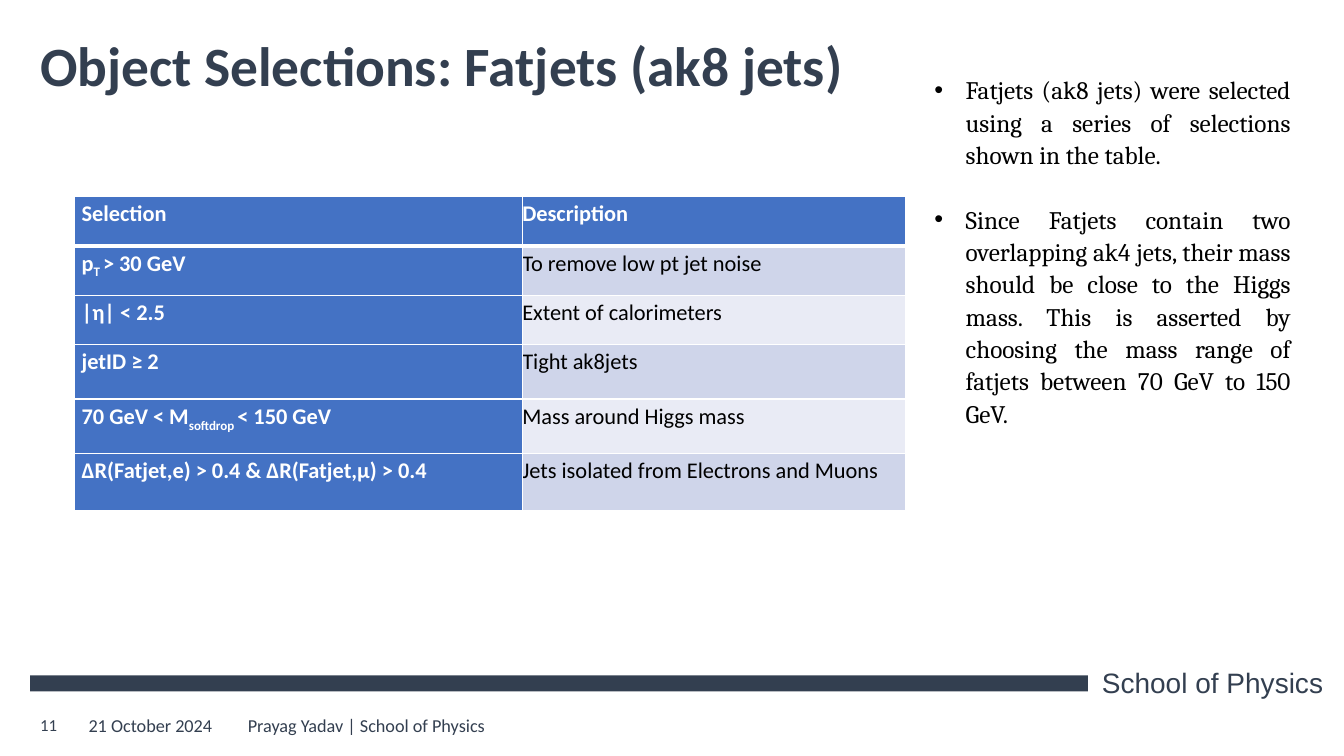
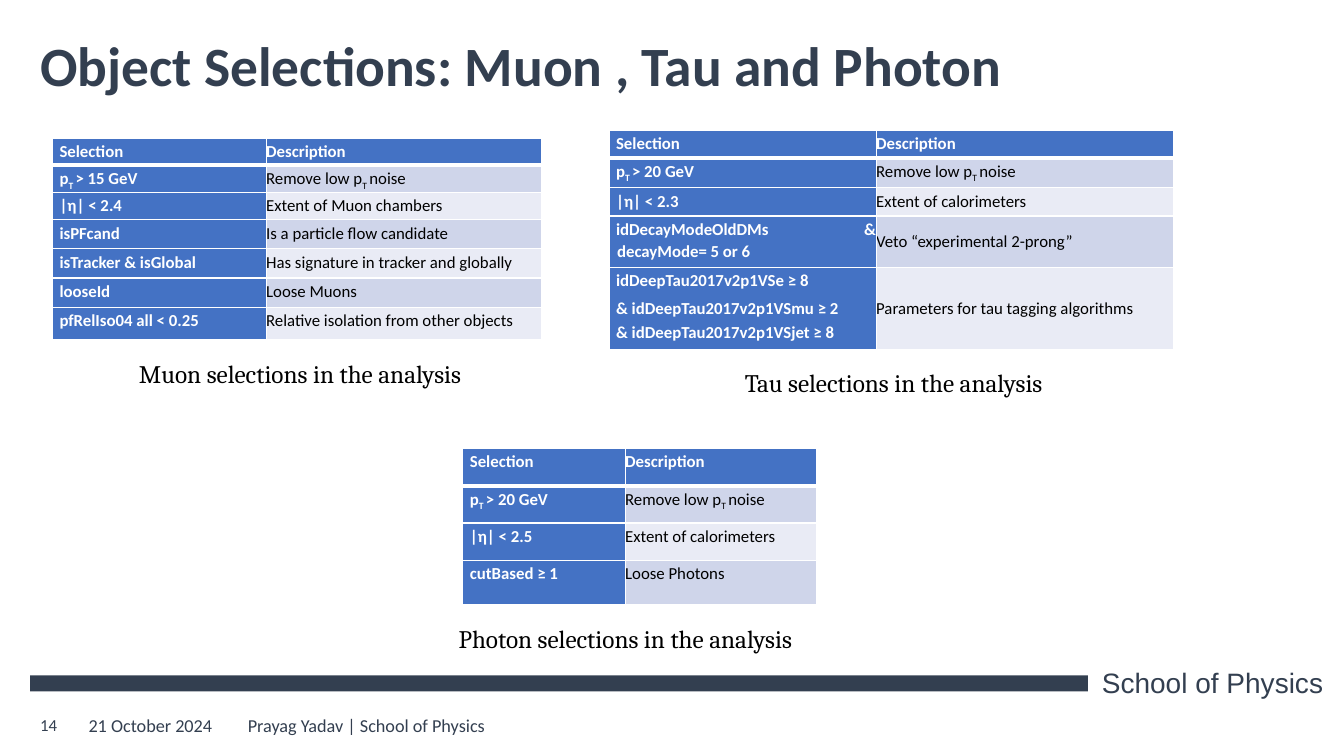
from dataclasses import dataclass

from lxml.etree import SubElement
from pptx import Presentation
from pptx.dml.color import RGBColor
from pptx.enum.shapes import MSO_SHAPE
from pptx.enum.text import MSO_ANCHOR, PP_ALIGN
from pptx.oxml.ns import qn
from pptx.util import Pt

PX = 9144  # EMU per px, 100 px to the inch


@dataclass(frozen=True)
class Theme:
    # Colours
    navy: str = "333F50"
    blue: str = "4472C4"
    bands: tuple = ("CFD5EA", "E9EBF5")
    white: str = "FFFFFF"
    black: str = "000000"
    # Fonts and type sizes
    sans: str = "Calibri"
    serif: str = "Cambria"
    mark: str = "Arial"
    title_size: float = 39.6
    mark_size: int = 20
    body_size: int = 18
    footer_size: int = 13
    number_size: int = 12


def px(length):
    return int(length * PX)


def apply(target, formats):
    for name, value in formats.items():
        setattr(target, name, value)


class Deck:
    def __init__(self, theme, width, height):
        self.theme = theme
        self.presentation = Presentation()
        apply(self.presentation, {"slide_width": px(width), "slide_height": px(height)})
        self.slide = None

    def start(self, number, title):
        """Add a slide with the shared band, footer and title."""
        t = self.theme
        self.slide = self.presentation.slides.add_slide(self.presentation.slide_layouts[6])
        self.band(30, 670, 1049, 16)
        self.text((1083, 655, 243, 44), "School of Physics", t.mark_size, t.mark, t.navy)
        footer = ((30, 44, number, t.number_size),
                  (78, 158, "21 October 2024", t.footer_size),
                  (236, 450, "Prayag Yadav | School of Physics", t.footer_size))
        for left, width, words, size in footer:
            self.text((left, 699, width, 40), words, size, t.sans, t.navy,
                      anchor=MSO_ANCHOR.MIDDLE)
        self.text((30, 30, 1209, 75), title, t.title_size, t.sans, t.navy, bold=True,
                  anchor=MSO_ANCHOR.MIDDLE, line_spacing=0.9)

    def band(self, *box):
        bar = self.slide.shapes.add_shape(MSO_SHAPE.RECTANGLE, *map(px, box))
        bar.shadow.inherit = False
        bar.fill.solid()
        bar.fill.fore_color.rgb = RGBColor.from_string(self.theme.navy)
        bar.line.fill.background()

    def fill_paragraph(self, paragraph, words, size, font, color, bold=False, **formats):
        """Add the words as runs; parts between ~ signs are subscripts."""
        apply(paragraph, formats)
        for index, part in enumerate(words.split("~")):
            run = paragraph.add_run()
            run.text = part
            apply(run.font, {"size": Pt(size), "name": font, "bold": bold})
            run.font.color.rgb = RGBColor.from_string(color)
            if index % 2:
                run._r.get_or_add_rPr().set("baseline", "-25000")

    def indent(self, paragraph, left, first):
        properties = paragraph._p.get_or_add_pPr()
        properties.set("marL", str(px(left)))
        properties.set("indent", str(px(first)))
        return properties

    def frame(self, box, anchor=MSO_ANCHOR.TOP):
        frame = self.slide.shapes.add_textbox(*map(px, box)).text_frame
        apply(frame, {"word_wrap": True, "vertical_anchor": anchor})
        return frame

    def text(self, box, words, size, font, color, anchor=MSO_ANCHOR.TOP, **formats):
        paragraph = self.frame(box, anchor).paragraphs[0]
        self.fill_paragraph(paragraph, words, size, font, color, **formats)

    def caption(self, left, top, width, words):
        t = self.theme
        self.text((left, top, width, 40), words, t.body_size, t.serif, t.black)

    def bullets(self, box, items, gap):
        t = self.theme
        frame = self.frame(box)
        for index, words in enumerate(items):
            paragraph = frame.add_paragraph() if index else frame.paragraphs[0]
            properties = self.indent(paragraph, 31, -31)
            SubElement(properties, qn("a:buFont")).set("typeface", t.mark)
            SubElement(properties, qn("a:buChar")).set("char", "•")
            self.fill_paragraph(paragraph, words, t.body_size, t.serif, t.black,
                                alignment=PP_ALIGN.JUSTIFY, line_spacing=1.07,
                                space_before=Pt(gap if index else 0), space_after=Pt(0.1))

    def borders(self, cell, widths):
        properties = cell._tc.get_or_add_tcPr()
        for side, width in zip("LRTB", widths):
            line = SubElement(properties, qn(f"a:ln{side}"), w=str(Pt(width)))
            fill = SubElement(line, qn("a:solidFill"))
            SubElement(fill, qn("a:srgbClr"), val=self.theme.white)

    def table(self, left, top, columns, heights, rows, size, inset=(8, 0),
              justified=(), centred=(), gaps=()):
        """Selection table; inset is right and bottom, gaps follow stacked lines."""
        t = self.theme
        rows = [("Selection", "Description"), *rows]
        grid = self.slide.shapes.add_table(
            len(rows), len(columns), *map(px, (left, top, sum(columns), sum(heights)))).table
        grid.horz_banding = False
        for column, width in zip(grid.columns, columns):
            column.width = px(width)
        for r, (row, height) in enumerate(zip(rows, heights)):
            grid.rows[r].height = px(height)
            for c, words in enumerate(row):
                cell = grid.cell(r, c)
                strong = r == 0 or c == 0
                middle = c == 1 and r in centred
                apply(cell, {
                    "margin_left": 0, "margin_top": px(2),
                    "margin_right": px(inset[0]), "margin_bottom": px(inset[1]),
                    "vertical_anchor": MSO_ANCHOR.MIDDLE if middle else MSO_ANCHOR.TOP})
                self.borders(cell, (1, 1, 3 if r == 1 else 1, 3 if r == 0 else 1))
                cell.fill.solid()
                cell.fill.fore_color.rgb = RGBColor.from_string(
                    t.blue if strong else t.bands[(r - 1) % 2])
                lines = words.split("\n")
                after = [*gaps, 0.1] if len(lines) > 1 else [0.1]
                justify = c == 0 and r in justified
                for index, (line, space) in enumerate(zip(lines, after)):
                    frame = cell.text_frame
                    paragraph = frame.add_paragraph() if index else frame.paragraphs[0]
                    self.indent(paragraph, 1 if c else 8, -1)
                    self.fill_paragraph(
                        paragraph, line, size, t.sans, t.white if strong else t.black,
                        bold=strong, line_spacing=1.07, space_after=Pt(space),
                        alignment=PP_ALIGN.JUSTIFY if justify else PP_ALIGN.LEFT)


def main():
    deck = Deck(Theme(), 1333, 750)

    # Fatjets
    deck.start("11", "Object Selections: Fatjets (ak8 jets)")
    deck.table(74, 195, (444, 380), (49, 49, 49, 54, 54, 57), [
        ("p~T ~> 30 GeV", "To remove low pt jet noise"),
        ("|η| < 2.5", "Extent of calorimeters"),
        ("jetID ≥ 2", "Tight ak8jets"),
        ("70 GeV < M~softdrop ~< 150 GeV", "Mass around Higgs mass"),
        ("∆R(Fatjet,e) > 0.4 & ∆R(Fatjet,µ) > 0.4", "Jets isolated from Electrons and Muons"),
    ], size=16)
    deck.bullets((917, 67, 373, 364), [
        "Fatjets (ak8 jets) were selected using a series of selections shown in the table.",
        "Since Fatjets contain two overlapping ak4 jets, their mass should be close to the "
        "Higgs mass. This is asserted by choosing the mass range of fatjets between 70 GeV "
        "to 150 GeV.",
    ], gap=23)

    # Muon, tau and photon
    deck.start("14", "Object Selections: Muon , Tau and Photon")
    low_noise = "Remove low p~T ~noise"
    deck.table(52, 137, (212, 273), (27, 27, 27, 29, 29, 29, 32), [
        ("p~T ~> 15 GeV", low_noise),
        ("|η| < 2.4", "Extent of Muon chambers"),
        ("isPFcand", "Is a particle flow candidate"),
        ("isTracker & isGlobal", "Has signature in tracker and globally"),
        ("looseId", "Loose Muons"),
        ("pfRelIso04 all < 0.25", "Relative isolation from other objects"),
    ], size=12)
    deck.table(604, 129, (265, 295), (28, 28, 28, 51, 82), [
        ("p~T ~> 20 GeV", low_noise),
        ("|η| < 2.3", "Extent of calorimeters"),
        ("idDecayModeOldDMs & decayMode= 5 or 6", "Veto “experimental 2-prong”"),
        ("idDeepTau2017v2p1VSe ≥ 8\n& idDeepTau2017v2p1VSmu ≥ 2\n"
         "& idDeepTau2017v2p1VSjet ≥ 8", "Parameters for tau tagging algorithms"),
    ], size=12, inset=(0, 3), justified=(3,), centred=(3, 4), gaps=(4.2, 1.2))
    deck.table(459, 445, (161, 190), (37, 37, 37, 44), [
        ("p~T ~> 20 GeV", low_noise),
        ("|η| < 2.5", "Extent of calorimeters"),
        ("cutBased ≥ 1", "Loose Photons"),
    ], size=12)
    deck.caption(128, 351, 375, "Muon selections in the analysis")
    deck.caption(729, 359, 351, "Tau selections in the analysis")
    deck.caption(445, 613, 379, "Photon selections in the analysis")

    deck.presentation.save("out.pptx")


if __name__ == "__main__":
    main()
